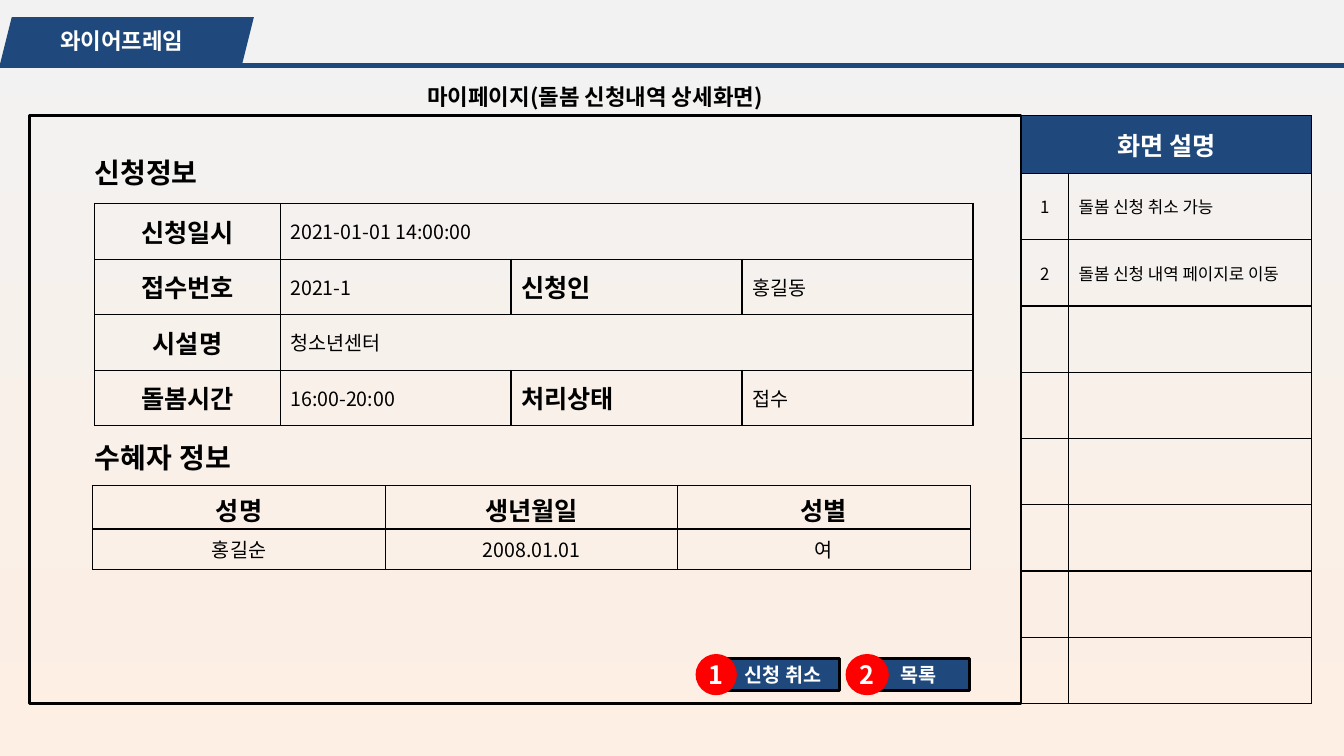
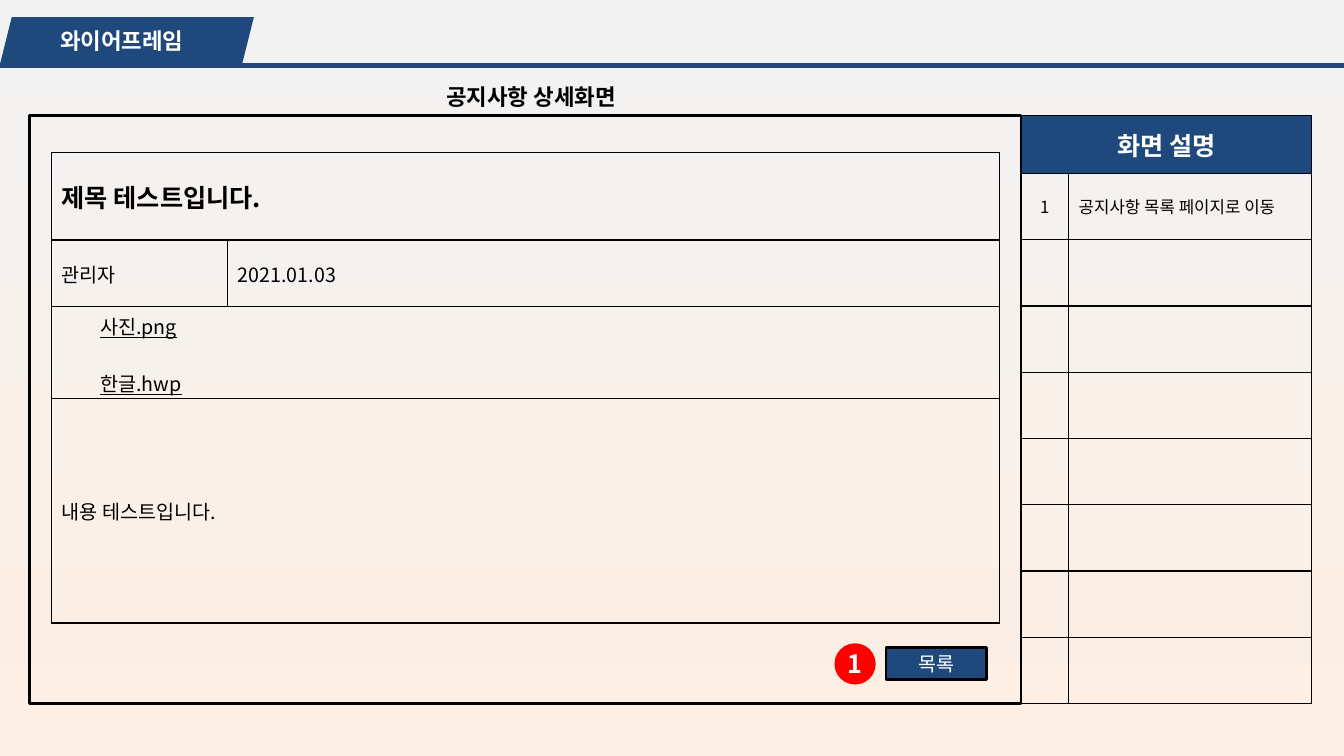
from dataclasses import dataclass
from typing import Optional, Sequence

from lxml.etree import SubElement
from pptx import Presentation
from pptx.dml.color import RGBColor
from pptx.enum.shapes import MSO_CONNECTOR as Connector, MSO_SHAPE as Preset
from pptx.enum.text import MSO_ANCHOR as Anchor, MSO_AUTO_SIZE as AutoSize, PP_ALIGN as Align
from pptx.oxml.ns import qn
from pptx.util import Cm, Pt

# Shared look
NAVY = RGBColor(0x1F, 0x49, 0x7D)
RED = RGBColor(0xFF, 0x00, 0x00)
BLACK = RGBColor(0x00, 0x00, 0x00)
WHITE = RGBColor(0xFF, 0xFF, 0xFF)
SKY_GREY = RGBColor(0xF2, 0xF2, 0xF2)
PEACH = RGBColor(0xFD, 0xEF, 0xE3)
FONT = "Noto Sans CJK KR"
HEADING_FONT = "Arial"
SLIDE_WIDTH, SLIDE_HEIGHT = 33.87, 19.05
PANEL_LEFT, PANEL_TOP, PANEL_WIDTH, PANEL_HEIGHT = 0.74, 2.92, 24.99, 14.81
NOTE_ROWS = 8


@dataclass(frozen=True)
class Style:
    size: float = 14
    bold: bool = False
    color: RGBColor = BLACK
    align: Align = Align.LEFT
    font: str = FONT
    underline: bool = False


@dataclass(frozen=True)
class Cell:
    lines: Sequence[str] = ()
    style: Style = Style()
    span: int = 1
    fill: Optional[RGBColor] = None
    indent: float = 0
    gap: float = 0


@dataclass(frozen=True)
class Box:
    left: float
    top: float
    width: float
    height: float

    def place(self) -> tuple:
        return Cm(self.left), Cm(self.top), Cm(self.width), Cm(self.height)


@dataclass(frozen=True)
class Button:
    label: str
    box: Box
    badge: str
    badge_box: Box
    bold: bool = True


BANNER = Style(16, True, WHITE, Align.CENTER)
TITLE = Style(16, True, BLACK, Align.CENTER)
SECTION = Style(20, True, font=HEADING_FONT)
BADGE = Style(18, True, WHITE, Align.CENTER)
LABEL = Style(18, True)
LABEL_CENTERED = Style(18, True, align=Align.CENTER)
VALUE = Style()
VALUE_CENTERED = Style(align=Align.CENTER)
NOTE = Style(12)
NOTE_NUMBER = Style(12, align=Align.CENTER)
FILE_NAME = Style(underline=True)


def write(frame, lines: Sequence[str], style: Style, indent: float = 0, gap: float = 0) -> None:
    for index, line in enumerate(lines):
        para = frame.paragraphs[0] if index == 0 else frame.add_paragraph()
        para.alignment = style.align
        if indent:
            para._p.get_or_add_pPr().set("marL", str(Cm(indent)))
        if index and gap:
            para.space_before = Pt(gap)
        span = para.add_run()
        span.text = line
        font = span.font
        font.size, font.bold, font.name = Pt(style.size), style.bold, style.font
        font.underline = style.underline
        font.color.rgb = style.color
        SubElement(font._element, qn("a:ea"), typeface=style.font)


def add_text(page, box: Box, text: str, style: Style) -> None:
    frame = page.shapes.add_textbox(*box.place()).text_frame
    frame.word_wrap = True
    frame.vertical_anchor = Anchor.MIDDLE
    write(frame, [text], style)


def add_box(page, preset: Preset, box: Box, fill: Optional[RGBColor] = None,
            outlined: bool = False, text: str = "", style: Style = VALUE) -> None:
    shape = page.shapes.add_shape(preset, *box.place())
    shape.shadow.inherit = False
    if fill is None:
        shape.fill.background()
    else:
        shape.fill.solid()
        shape.fill.fore_color.rgb = fill
    if outlined:
        shape.line.color.rgb = BLACK
        shape.line.width = Pt(2)
    else:
        shape.line.fill.background()
    if text:
        frame = shape.text_frame
        frame.margin_left = frame.margin_right = frame.margin_top = frame.margin_bottom = 0
        frame.vertical_anchor = Anchor.MIDDLE
        write(frame, [text], style)


def add_borders(cell) -> None:
    properties = cell._tc.get_or_add_tcPr()
    for side in ("lnL", "lnR", "lnT", "lnB"):
        line = SubElement(properties, qn(f"a:{side}"), w=str(Pt(1)))
        solid = SubElement(line, qn("a:solidFill"))
        SubElement(solid, qn("a:srgbClr"), val=str(BLACK))


def add_grid(page, left: float, top: float, widths: Sequence[float],
             heights: Sequence[float], rows: Sequence[Sequence[Cell]]) -> None:
    box = Box(left, top, sum(widths), sum(heights))
    table = page.shapes.add_table(len(heights), len(widths), *box.place()).table
    table.first_row = table.horz_banding = False
    for column, width in zip(table.columns, widths):
        column.width = Cm(width)
    for row, height in zip(table.rows, heights):
        row.height = Cm(height)
    for cell in table.iter_cells():
        add_borders(cell)
        cell.fill.background()
        cell.vertical_anchor = Anchor.MIDDLE
    for row_index, row in enumerate(rows):
        column_index = 0
        for item in row:
            cell = table.cell(row_index, column_index)
            if item.span > 1:
                cell.merge(table.cell(row_index, column_index + item.span - 1))
            if item.fill is not None:
                cell.fill.solid()
                cell.fill.fore_color.rgb = item.fill
            write(cell.text_frame, item.lines, item.style, item.indent, item.gap)
            column_index += item.span


def add_button(page, button: Button) -> None:
    style = Style(14, button.bold, WHITE, Align.CENTER)
    add_box(page, Preset.RECTANGLE, button.box, NAVY, True, button.label, style)
    add_box(page, Preset.OVAL, button.badge_box, RED, text=button.badge, style=BADGE)


def set_title(page, text: str, box: Box) -> None:
    title = page.shapes.title
    title.left, title.top, title.width, title.height = box.place()
    frame = title.text_frame
    frame.auto_size = AutoSize.NONE
    frame.word_wrap = True
    frame.vertical_anchor = Anchor.MIDDLE
    write(frame, [text], TITLE)


def add_wireframe_page(deck, title: str, title_width: float, notes: Sequence[str]):
    """Add a page with the banner, title, screen panel and notes table."""
    page = deck.slides.add_slide(deck.slide_layouts[5])
    set_title(page, title, Box(10.26, 1.73, title_width, 1.4))

    # Banner
    add_box(page, Preset.PARALLELOGRAM, Box(0, 0.43, 6.4, 1.19), NAVY)
    add_text(page, Box(0, 0.33, 6.15, 1.4), "와이어프레임", BANNER)
    rule = page.shapes.add_connector(
        Connector.STRAIGHT, Cm(SLIDE_WIDTH), Cm(1.65), Cm(0), Cm(1.65))
    rule.line.color.rgb = NAVY
    rule.line.width = Pt(3)
    SubElement(rule._element.spPr, qn("a:effectLst"))

    # Screen panel and notes
    panel = Box(PANEL_LEFT, PANEL_TOP, PANEL_WIDTH, PANEL_HEIGHT)
    add_box(page, Preset.RECTANGLE, panel, outlined=True)
    rows = [[Cell(["화면 설명"], BADGE, span=2, fill=NAVY)]]
    rows += [[Cell([str(number)], NOTE_NUMBER), Cell([note], NOTE)]
             for number, note in enumerate(notes, 1)]
    add_grid(page, PANEL_LEFT + PANEL_WIDTH, PANEL_TOP, [1.2, 6.13],
             [1.45] + [1.67] * NOTE_ROWS, rows)
    return page


def build_application_page(deck) -> None:
    page = add_wireframe_page(deck, "마이페이지(돌봄 신청내역 상세화면)", 9.47,
                              ["돌봄 신청 취소 가능", "돌봄 신청 내역 페이지로 이동"])

    # Application details
    add_text(page, Box(2.13, 3.81, 9.32, 1.04), "신청정보", SECTION)
    details = [
        ["신청일시", "2021-01-01 14:00:00"],
        ["접수번호", "2021-1", "신청인", "홍길동"],
        ["시설명", "청소년센터"],
        ["돌봄시간", "16:00-20:00", "처리상태", "접수"],
    ]
    styles = [LABEL_CENTERED, VALUE, LABEL, VALUE]
    rows = [[Cell([text], style, span=3 if len(row) == 2 and style is VALUE else 1)
             for text, style in zip(row, styles)] for row in details]
    add_grid(page, 2.39, 5.13, [4.67] + [5.82] * 3, [1.4] * 4, rows)

    # Beneficiary
    add_text(page, Box(2.13, 11, 9.32, 1.04), "수혜자 정보", SECTION)
    people = [[Cell([text], LABEL_CENTERED) for text in ("성명", "생년월일", "성별")],
              [Cell([text], VALUE_CENTERED) for text in ("홍길순", "2008.01.01", "여")]]
    add_grid(page, 2.34, 12.24, [7.37] * 3, [1.09, 1.02], people)

    # Buttons
    for button in (
        Button("신청 취소", Box(18.31, 16.59, 2.84, 0.81), "1", Box(17.53, 16.48, 1.04, 1.04)),
        Button("목록", Box(21.89, 16.59, 2.54, 0.81), "2", Box(21.31, 16.48, 1.09, 1.04)),
    ):
        add_button(page, button)


def build_notice_page(deck) -> None:
    page = add_wireframe_page(deck, "공지사항 상세화면", 6.25, ["공지사항 목록 페이지로 이동"])

    # Notice
    rows = [
        [Cell(["제목 테스트입니다."], LABEL, span=2)],
        [Cell(["관리자"]), Cell(["2021.01.03"])],
        [Cell(["사진.png", "한글.hwp"], FILE_NAME, span=2, indent=0.97, gap=20)],
        [Cell(["내용 테스트입니다."], span=2)],
    ]
    add_grid(page, 1.3, 3.84, [4.44, 19.44], [2.21, 1.68, 2.31, 5.66], rows)
    add_button(page, Button("목록", Box(22.33, 16.31, 2.54, 0.81),
                            "1", Box(21.03, 16.21, 1.04, 1.04), bold=False))


def main() -> None:
    deck = Presentation()
    deck.slide_width, deck.slide_height = Cm(SLIDE_WIDTH), Cm(SLIDE_HEIGHT)

    # Background shared through the master
    fill = deck.slide_master.background.fill
    fill.gradient()
    fill.gradient_angle = 270
    for stop, color in zip(fill.gradient_stops, (SKY_GREY, PEACH)):
        stop.color.rgb = color

    build_application_page(deck)
    build_notice_page(deck)
    deck.save("out.pptx")


if __name__ == "__main__":
    main()
